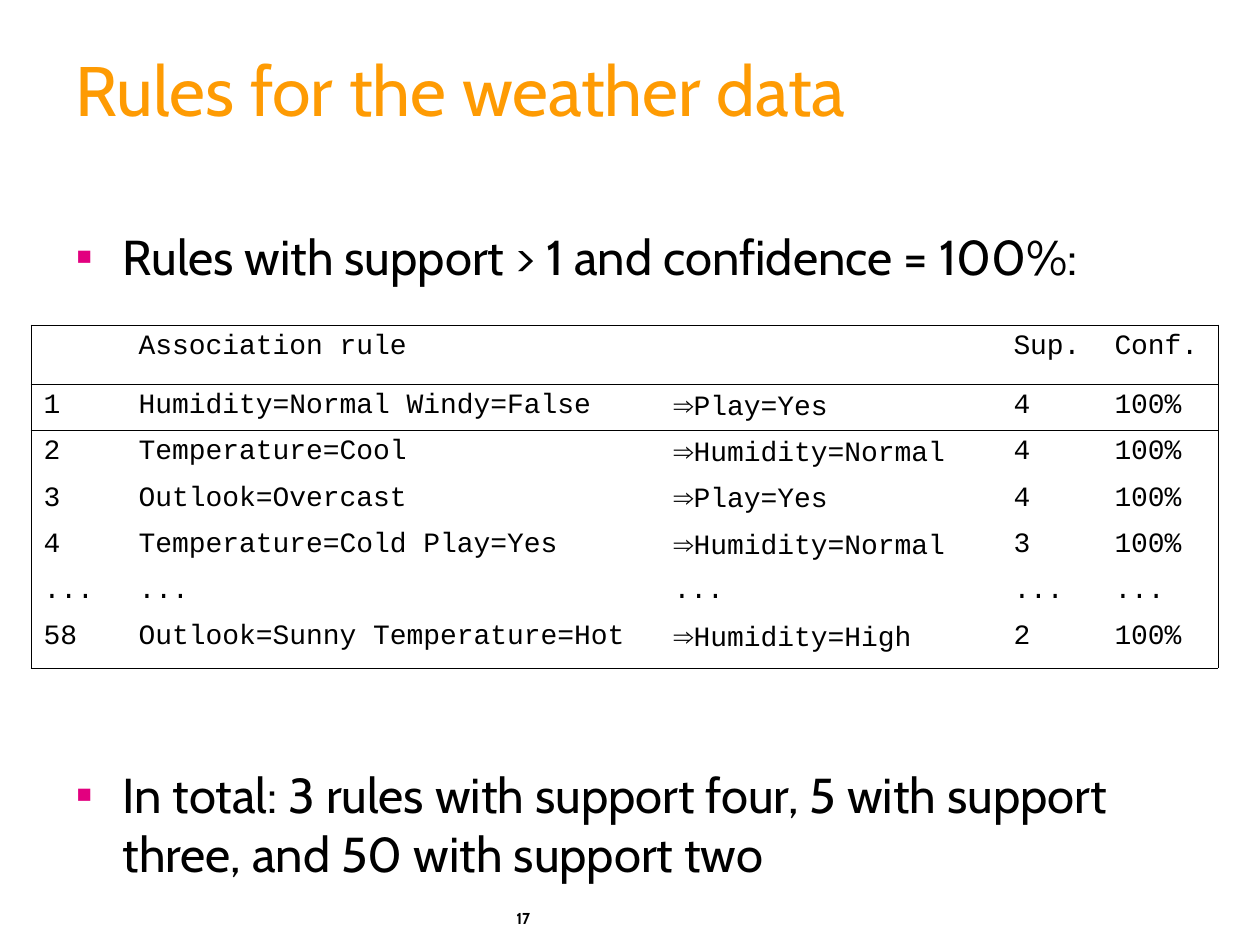
from lxml import etree
from pptx import Presentation
from pptx.dml.color import RGBColor
from pptx.enum.text import MSO_ANCHOR, MSO_AUTO_SIZE, PP_ALIGN
from pptx.oxml.ns import qn
from pptx.util import Emu, Pt

LEFT = PP_ALIGN.LEFT
MIDDLE = MSO_ANCHOR.MIDDLE
FIXED = MSO_AUTO_SIZE.NONE
BLACK = RGBColor(0x00, 0x00, 0x00)
ORANGE = RGBColor(0xFE, 0x9B, 0x03)
PINK = RGBColor(0xE2, 0x00, 0x7F)
SANS, MONO, SIGN = "Cabin", "Courier New", "Arial"
ARROW = "⇒"
PLAIN = "{2D5ABB26-0587-4C30-8999-92F81FD0307C}"
RULES = [
    ("", "Association rule", "", "Sup.", "Conf."),
    ("1", "Humidity=Normal Windy=False", "⇒Play=Yes", "4", "100%"),
    ("2", "Temperature=Cool", "⇒Humidity=Normal", "4", "100%"),
    ("3", "Outlook=Overcast", "⇒Play=Yes", "4", "100%"),
    ("4", "Temperature=Cold Play=Yes", "⇒Humidity=Normal", "3", "100%"),
    ("...",) * 5,
    ("58", "Outlook=Sunny Temperature=Hot", "⇒Humidity=High", "2", "100%"),
]
COLS = [95, 535, 340, 101, 116]
ROWS = [59] + [46] * 5 + [53]


def px(count):
    return Emu(round(count * 914400 / 126))


def write(para, text, font=SANS, size=28, color=BLACK, bold=False):
    run = para.add_run()
    run.text = text
    run.font.name = font
    run.font.size = Pt(size)
    run.font.color.rgb = color
    run.font.bold = bold


def bullet(para, mark, color, indent):
    props = para._p.get_or_add_pPr()
    props.set("marL", str(px(indent)))
    props.set("indent", str(-px(indent)))
    tint = etree.SubElement(props, qn("a:buClr"))
    etree.SubElement(tint, qn("a:srgbClr"), val=str(color))
    etree.SubElement(props, qn("a:buFont"), typeface=SIGN)
    etree.SubElement(props, qn("a:buChar"), char=mark)


def border(cell, sides, color, width):
    props = cell._tc.get_or_add_tcPr()
    for side in sides:
        line = etree.SubElement(props, qn(f"a:ln{side}"), w=str(Pt(width)))
        fill = etree.SubElement(line, qn("a:solidFill"))
        etree.SubElement(fill, qn("a:srgbClr"), val=str(color))


class Page:
    def __init__(self, deck):
        self.slide = deck.slides.add_slide(deck.slide_layouts[1])
        self.color = BLACK
        self.accent = PINK

    def place(self, shape, left, top, width, height):
        shape.left, shape.top = px(left), px(top)
        shape.width, shape.height = px(width), px(height)
        frame = shape.text_frame
        frame.word_wrap = True
        frame.auto_size = FIXED
        return frame

    def title(self, text, *box):
        frame = self.place(self.slide.shapes.title, *box)
        frame.vertical_anchor = MIDDLE
        para = frame.paragraphs[0]
        para.alignment = LEFT
        para.line_spacing = 0.85
        write(para, text, size=40, color=ORANGE)

    def items(self, texts, gap, *box):
        frame = self.place(self.slide.placeholders[1], *box)
        for i, text in enumerate(texts):
            para = frame.add_paragraph() if i else frame.paragraphs[0]
            para.space_before = Pt(gap if i else 0)
            bullet(para, "▪", self.accent, 47)
            write(para, text, color=self.color)

    def label(self, text, *box):
        shape = self.slide.shapes.add_textbox(0, 0, 0, 0)
        frame = self.place(shape, *box)
        write(frame.paragraphs[0], text, size=9, color=self.color, bold=True)

    def table(self, data, cols, rows, left, top):
        sizes = [px(n) for n in (left, top, sum(cols), sum(rows))]
        table = self.slide.shapes.add_table(len(rows), len(cols), *sizes).table
        table.first_row = table.horz_banding = False
        table._tbl.tblPr.find(qn("a:tableStyleId")).text = PLAIN
        for col, width in zip(table.columns, cols):
            col.width = px(width)
        for row, height in zip(table.rows, rows):
            row.height = px(height)
        for r, line in enumerate(data):
            for c, text in enumerate(line):
                self.cell(table.cell(r, c), text)
                sides = [
                    side
                    for side, drawn in (
                        ("L", c == 0),
                        ("R", c == len(cols) - 1),
                        ("T", r in (0, 1)),
                        ("B", r in (0, len(rows) - 1)),
                    )
                    if drawn
                ]
                border(table.cell(r, c), sides, self.color, 0.45)
                table.cell(r, c).fill.background()

    def cell(self, cell, text):
        para = cell.text_frame.paragraphs[0]
        if text.startswith(ARROW):
            write(para, ARROW, font=SIGN, size=16, color=self.color)
        if text:
            word = text.removeprefix(ARROW)
            write(para, word, font=MONO, size=16, color=self.color)


def main():
    deck = Presentation()
    deck.slide_width, deck.slide_height = px(1260), px(945)
    page = Page(deck)
    page.label("17", 504, 903, 128, 42)
    page.title("Rules for the weather data", 63, 32, 1144, 126)
    page.items(
        [
            "Rules with support > 1 and confidence = 100%:",
            "In total: 3 rules with support four, 5 with support three, "
            "and 50 with support two",
        ],
        274, 63, 220, 1144, 652,
    )
    page.table(RULES, COLS, ROWS, 31, 325)
    deck.save("out.pptx")


if __name__ == "__main__":
    main()
